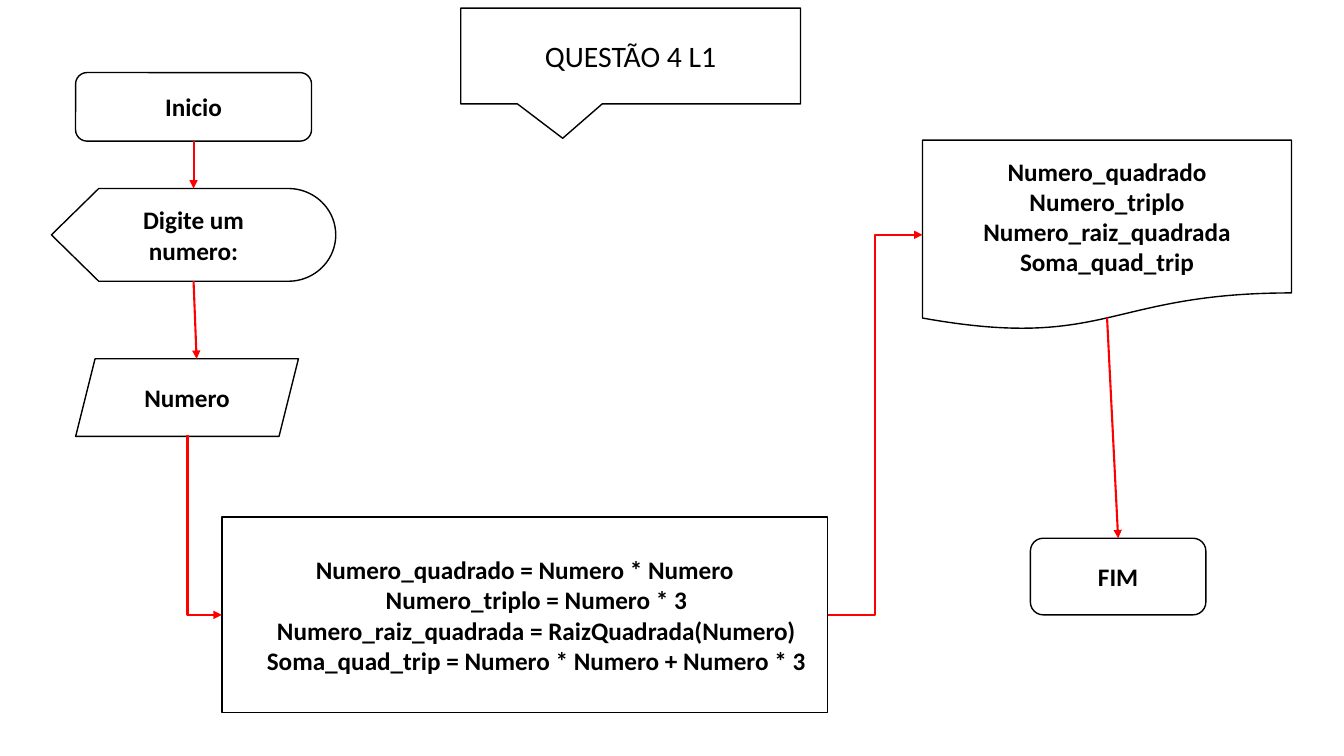
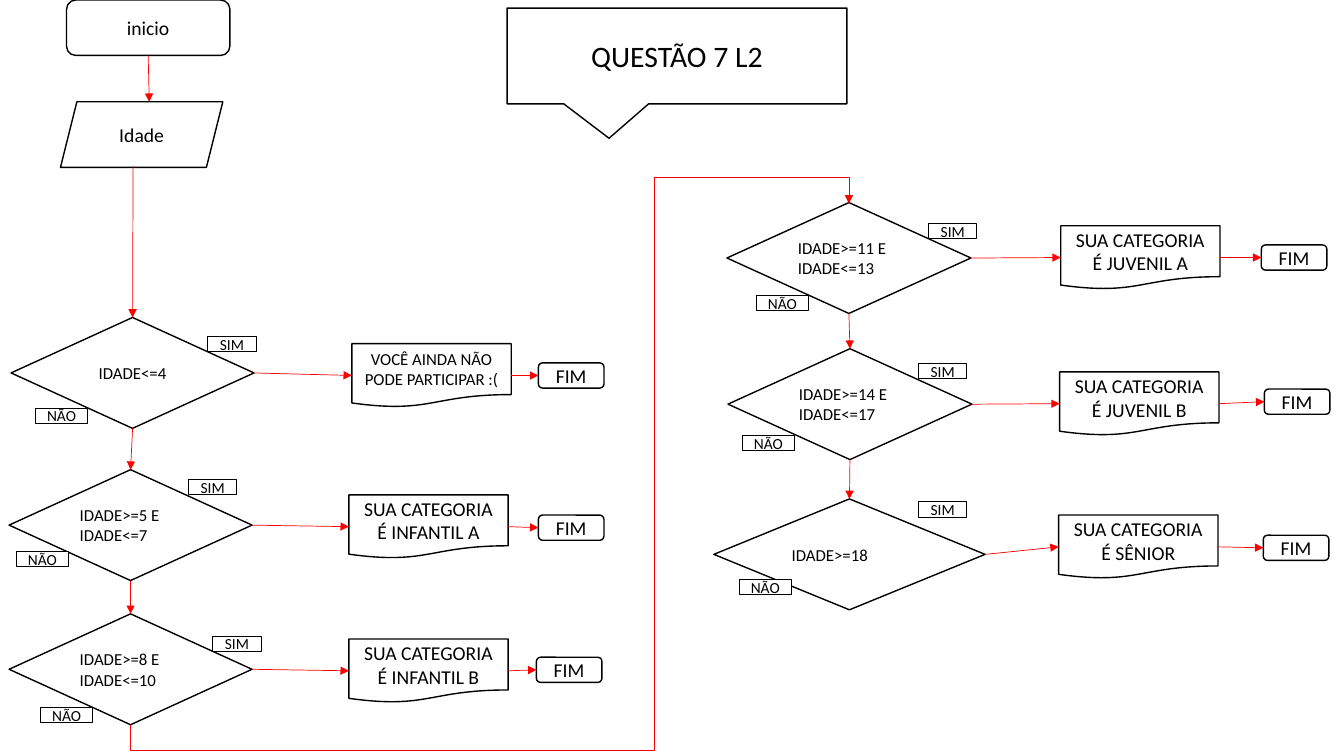
from pptx import Presentation
from pptx import util as u
from pptx.dml.color import RGBColor
from pptx.enum import shapes, text
from pptx.oxml.ns import qn
from lxml import etree

COLORS = {"paper": "FFFFFF", "ink": "000000", "flow": "FF0000"}
S = shapes.MSO_SHAPE
C = shapes.MSO_CONNECTOR
TOP, LEFT, BOTTOM, RIGHT = range(4)


class Flowchart:
    """Draws flowchart elements in one style on the current slide."""

    def __init__(self, prs):
        self.prs = prs

    def color(self, name):
        return RGBColor.from_string(COLORS[name])

    def slide(self, size, bold, weight):
        self.s = self.prs.slides.add_slide(self.prs.slide_layouts[6])
        self.size, self.bold, self.weight = size, bold, weight

    def panel(self, kind, x, y, w, h):
        sp = self.s.shapes.add_shape(kind, *map(u.Inches, (x, y, w, h)))
        sp.shadow.inherit = False
        sp.fill.solid()
        sp.fill.fore_color.rgb = self.color("paper")
        sp.line.fill.background()
        return sp

    def box(self, kind, x, y, w, h, *lines, size=None, bold=None, line=1,
            align=text.PP_ALIGN.CENTER):
        sp = self.panel(kind, x, y, w, h)
        sp.line.color.rgb = self.color("ink")
        sp.line.width = u.Pt(line)
        tf = sp.text_frame
        tf.word_wrap = True
        tf.text = "\n".join(lines)
        for p in tf.paragraphs:
            p.alignment = align
            p.font.name = "Calibri"
            p.font.size = u.Pt(size or self.size)
            p.font.bold = self.bold if bold is None else bold
            p.font.color.rgb = self.color("ink")
        return sp

    def title(self, x, caption):
        sp = self.box(S.RECTANGULAR_CALLOUT, x, 0.08, 3.37, 0.95, caption,
                      size=21.2, bold=False)
        sp.adjustments[0], sp.adjustments[1] = -0.2, 0.86

    def label(self, x, y, w, caption):
        sp = self.box(S.RECTANGLE, x, y, w, 0.15, caption, size=11, line=0.75)
        tf = sp.text_frame
        tf.margin_left = tf.margin_right = tf.margin_top = tf.margin_bottom = 0

    def connector(self, kind, x1, y1, x2, y2):
        c = self.s.shapes.add_connector(kind, *map(u.Inches, (x1, y1, x2, y2)))
        c.line.color.rgb = self.color("flow")
        c.line.width = u.Pt(self.weight)
        etree.SubElement(c.line._get_or_add_ln(), qn("a:tailEnd"), type="triangle")
        etree.SubElement(c._element.spPr, qn("a:effectLst"))
        return c

    def arrow(self, start, end):
        a, b = ((0, 0) if hasattr(e[0], "shape_id") else e for e in (start, end))
        c = self.connector(C.STRAIGHT, *a, *b)
        if a is not start:
            c.begin_connect(*start)
        if b is not end:
            c.end_connect(*end)

    def turned_elbow(self, x, y, w, h, preset, rotation, flips, adjust=()):
        c = self.connector(C.ELBOW, x, y, x + w, y + h)
        xfrm = c._element.spPr.find(qn("a:xfrm"))
        xfrm.set("rot", str(rotation * 60000))
        for flip in flips:
            xfrm.set(flip, "1")
        geom = c._element.spPr.find(qn("a:prstGeom"))
        geom.set("prst", preset)
        for i, value in enumerate(adjust, 1):
            etree.SubElement(geom.find(qn("a:avLst")), qn("a:gd"),
                             name=f"adj{i}", fmla=f"val {round(value * 100000)}")

    def decision(self, question, x, y, w, yes, no, doc, message, end,
                 size=14, align=text.PP_ALIGN.LEFT):
        test = self.box(S.DIAMOND, x, y, w, 1.1, question, size=12, align=align)
        result = self.box(S.FLOWCHART_DOCUMENT, *doc, 1.58, 0.63, message, size=size)
        stop = self.box(S.ROUNDED_RECTANGLE, *end, 0.65, 0.25, "FIM")
        self.arrow((test, RIGHT), (result, LEFT))
        self.arrow((result, RIGHT), (stop, LEFT))
        self.label(*yes, 0.48, "SIM")
        self.label(*no, 0.52, "NÃO")
        return test


prs = Presentation()
prs.slide_width, prs.slide_height = u.Inches(13.33), u.Inches(7.5)
f = Flowchart(prs)

f.slide(size=18, bold=True, weight=1.5)
f.title(4.57, "QUESTÃO 4 L1")
start = f.box(S.ROUNDED_RECTANGLE, 0.75, 0.72, 2.34, 0.68, "Inicio")
prompt = f.box(S.FLOWCHART_DISPLAY, 0.51, 1.87, 2.82, 0.92, "Digite um numero:")
f.box(S.PARALLELOGRAM, 0.75, 3.56, 2.21, 0.77, "Numero")
process = f.box(S.FLOWCHART_PROCESS, 2.2, 5.13, 6.01, 1.94,
                "Numero_quadrado = Numero * Numero",
                "Numero_triplo = Numero * 3",
                "Numero_raiz_quadrada = RaizQuadrada(Numero)",
                "Soma_quad_trip = Numero * Numero + Numero * 3")
for p in process.text_frame.paragraphs[1:]:
    p._p.get_or_add_pPr().set("marL", str(u.Inches(0.23)))
f.box(S.FLOWCHART_DOCUMENT, 9.15, 1.39, 3.66, 1.89, "Numero_quadrado",
      "Numero_triplo", "Numero_raiz_quadrada", "Soma_quad_trip")
stop = f.box(S.ROUNDED_RECTANGLE, 10.22, 5.34, 1.74, 0.76, "FIM")
f.arrow((start, BOTTOM), (prompt, TOP))
f.arrow((prompt, BOTTOM), (1.95, 3.56))
f.turned_elbow(1.14, 5.04, 1.78, 0.34, "bentConnector2", 270, ["flipH"])
f.connector(C.ELBOW, 8.21, 6.1, 9.15, 2.33)
f.arrow((10.98, 3.15), (stop, TOP))

f.slide(size=14, bold=False, weight=0.5)
f.panel(S.RECTANGLE, 0, 0, 13.33, 7.5)
f.title(5.03, "QUESTÃO 7 L2")
start = f.box(S.ROUNDED_RECTANGLE, 0.66, 0, 1.62, 0.55, "inicio")
f.box(S.PARALLELOGRAM, 0.6, 1.01, 1.61, 0.65, "Idade")
child = [
    f.decision("IDADE<=4", 0.11, 3.15, 2.41, (2.06, 3.34), (0.35, 4.05),
               (3.49, 3.41), "VOCÊ AINDA NÃO PODE PARTICIPAR :(", (5.34, 3.6),
               size=12, align=text.PP_ALIGN.CENTER),
    f.decision("IDADE>=5 E IDADE<=7", 0.09, 4.66, 2.41, (1.87, 4.76), (0.16, 5.47),
               (3.46, 4.91), "SUA CATEGORIA É INFANTIL A", (5.34, 5.11)),
    f.decision("IDADE>=8 E IDADE<=10", 0.09, 6.09, 2.41, (2.11, 6.31), (0.4, 7.02),
               (3.46, 6.34), "SUA CATEGORIA É INFANTIL B", (5.32, 6.52)),
]
older = [
    f.decision("IDADE>=11 E IDADE<=13", 7.21, 2.01, 2.42, (9.21, 2.22), (7.5, 2.93),
               (10.52, 2.24), "SUA CATEGORIA É JUVENIL A", (12.51, 2.43)),
    f.decision("IDADE>=14 E IDADE<=17", 7.22, 3.46, 2.42, (9.11, 3.61), (7.36, 4.32),
               (10.51, 3.69), "SUA CATEGORIA É JUVENIL B", (12.54, 3.86)),
    f.decision("IDADE>=18", 7.08, 4.95, 2.69, (9.11, 4.98), (7.33, 5.75),
               (10.5, 5.11), "SUA CATEGORIA É SÊNIOR", (12.53, 5.31)),
]
for chain in (child, older):
    for upper, lower in zip(chain, chain[1:]):
        f.arrow((upper, BOTTOM), (lower, TOP))
f.arrow((start, BOTTOM), (1.48, 1.01))
f.arrow((1.32, 1.65), (child[0], TOP))
f.turned_elbow(2.27, 1.04, 5.17, 7.13, "bentConnector5", 90, ["flipH", "flipV"],
               (-0.05, 0.73, 1.05))

prs.save("out.pptx")
